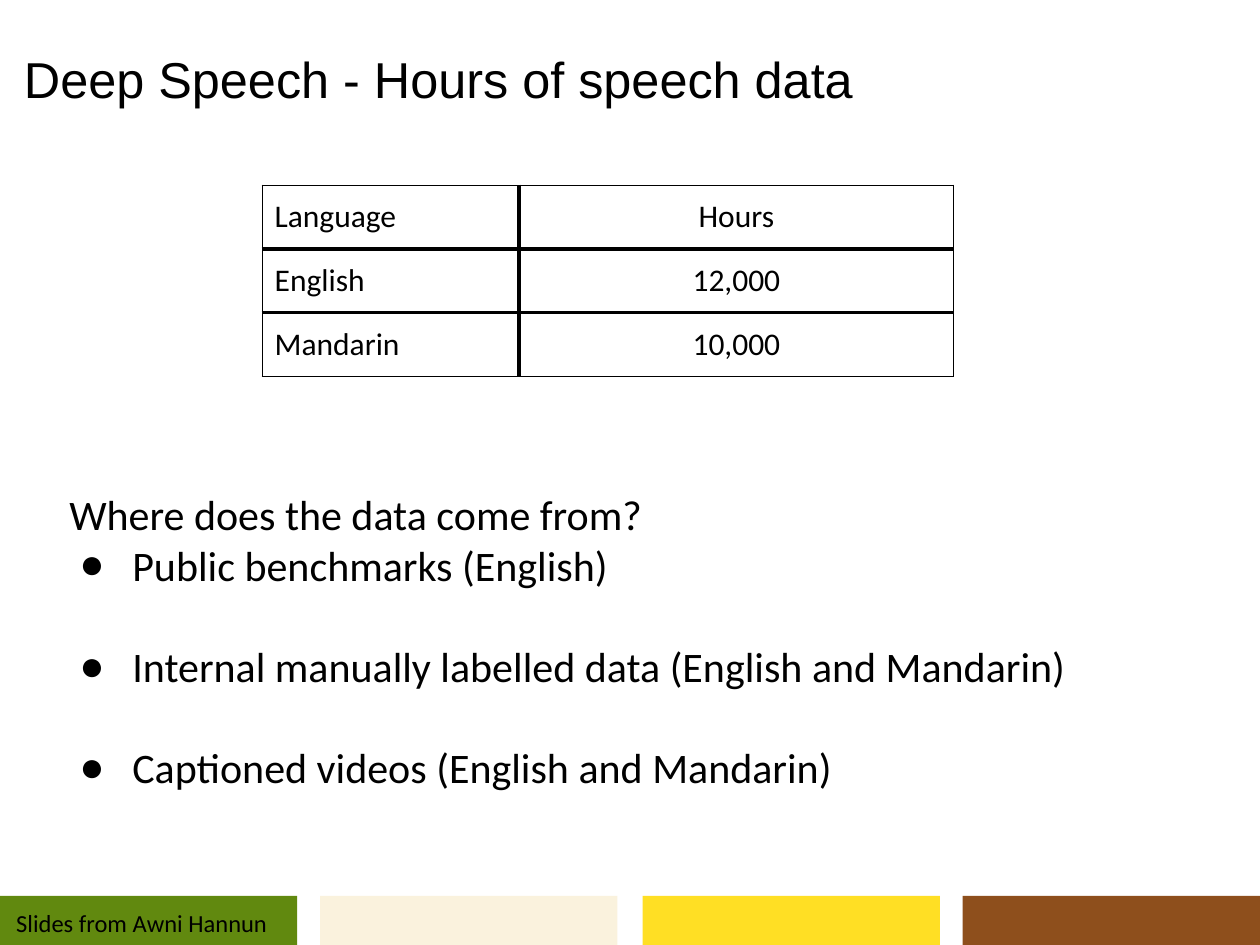
import pptx
import pptx.dml.color
import pptx.enum.shapes
import pptx.enum.text
import pptx.oxml
import pptx.oxml.ns
import pptx.util
from pptx.util import Inches

BLACK = "000000"
BARS = [(0, "61890F"), (2.54, "FAF2DD"), (5.1, "FFDF24"), (7.64, "8E4F1C")]
HOURS = [("Language", "Hours"), ("English", "12,000"), ("Mandarin", "10,000")]
SOURCES = [
    "Public benchmarks (English)",
    "Internal manually labelled data (English and Mandarin)",
    "Captioned videos (English and Mandarin)",
]
ALIGN = pptx.enum.text.PP_ALIGN
ANCHOR = pptx.enum.text.MSO_ANCHOR


def rgb(color):
    return pptx.dml.color.RGBColor.from_string(color)


def xml(tag, attrs="", inner=""):
    ns = pptx.oxml.ns.nsdecls("a")
    return pptx.oxml.parse_xml(f"<a:{tag} {ns} {attrs}>{inner}</a:{tag}>")


def place(sp, x, y, w, h):
    sp.left, sp.top, sp.width, sp.height = map(Inches, (x, y, w, h))


def set_frame(tf, anchor, margin_y=0.05):
    tf.word_wrap = True
    tf.auto_size = pptx.enum.text.MSO_AUTO_SIZE.NONE
    tf.vertical_anchor = anchor
    tf.margin_left = tf.margin_right = Inches(0.1)
    tf.margin_top = tf.margin_bottom = Inches(margin_y)


def style(p, size, font="Calibri", align=ALIGN.LEFT):
    p.alignment = align
    p.font.size = pptx.util.Pt(size)
    p.font.name = font
    p.font.color.rgb = rgb(BLACK)


def add_bar(slide, x, color):
    sp = slide.shapes.add_shape(
        pptx.enum.shapes.MSO_SHAPE.RECTANGLE,
        Inches(x), Inches(7.11), Inches(2.36), Inches(0.39))
    sp.shadow.inherit = False
    sp.fill.solid()
    sp.fill.fore_color.rgb = rgb(color)
    sp.line.fill.background()


def set_title(sp, text):
    place(sp, 0.09, 0.13, 7.21, 1.04)
    set_frame(sp.text_frame, ANCHOR.MIDDLE)
    p = sp.text_frame.paragraphs[0]
    p.text = text
    p.line_spacing = 0.9
    style(p, 28.8, "Arial")


def set_borders(cell, widths):
    tc_pr = cell._tc.get_or_add_tcPr()
    line = f'<a:solidFill><a:srgbClr val="{BLACK}"/></a:solidFill>'
    for side, width in widths.items():
        tc_pr.append(xml(f"ln{side}", f'w="{pptx.util.Pt(width)}"', line))


def add_hours_table(slide, rows):
    widths = (2.04, 3.45)
    height = 0.505
    table = slide.shapes.add_table(
        len(rows), len(widths), Inches(2.08), Inches(1.47),
        Inches(sum(widths)), Inches(height * len(rows))).table
    table.first_row = table.horz_banding = False
    for column, width in zip(table.columns, widths):
        column.width = Inches(width)
    # Thin outline, heavier inner rules
    outer, inner = 0.75, 2.25
    last_row, last_col = len(rows) - 1, len(widths) - 1
    for i, row in enumerate(rows):
        table.rows[i].height = Inches(height)
        for j, text in enumerate(row):
            cell = table.cell(i, j)
            cell.margin_left = cell.margin_right = Inches(0.1)
            cell.margin_top = cell.margin_bottom = Inches(0.1)
            set_borders(cell, {
                "L": inner if j else outer,
                "R": inner if j < last_col else outer,
                "T": inner if i else outer,
                "B": inner if i < last_row else outer,
            })
            cell.fill.background()
            p = cell.text_frame.paragraphs[0]
            p.text = text
            style(p, 18, align=ALIGN.CENTER if j else ALIGN.LEFT)


def set_bullet(p, char=None):
    p_pr = p._p.get_or_add_pPr()
    left, indent = (0.5, -0.42) if char else (0, 0)
    p_pr.set("marL", str(Inches(left)))
    p_pr.set("indent", str(Inches(indent)))
    p_pr.append(xml("buChar", f'char="{char}"') if char else xml("buNone"))


def set_list(sp, heading, items):
    place(sp, 0.45, 3.78, 9.14, 2.62)
    tf = sp.text_frame
    set_frame(tf, ANCHOR.TOP, 0.1)
    for i, text in enumerate([heading] + items):
        p = tf.paragraphs[0] if i == 0 else tf.add_paragraph()
        p.text = text
        set_bullet(p, "●" if i else None)
        p.space_before = pptx.util.Pt(29 if i > 1 else 0)
        style(p, 24)


def add_credit(slide, text):
    sp = slide.shapes.add_textbox(
        Inches(0.03), Inches(7.16), Inches(4.74), Inches(0.34))
    set_frame(sp.text_frame, ANCHOR.TOP)
    p = sp.text_frame.paragraphs[0]
    p.text = text
    style(p, 14)


def main():
    prs = pptx.Presentation()
    prs.slide_width, prs.slide_height = Inches(10), Inches(7.5)
    slide = prs.slides.add_slide(prs.slide_layouts[1])

    # Title and data
    set_title(slide.shapes.title, "Deep Speech - Hours of speech data")
    add_hours_table(slide, HOURS)
    set_list(slide.placeholders[1], "Where does the data come from?", SOURCES)

    # Footer
    for x, color in BARS:
        add_bar(slide, x, color)
    add_credit(slide, "Slides from Awni Hannun")

    prs.save("out.pptx")


if __name__ == "__main__":
    main()
